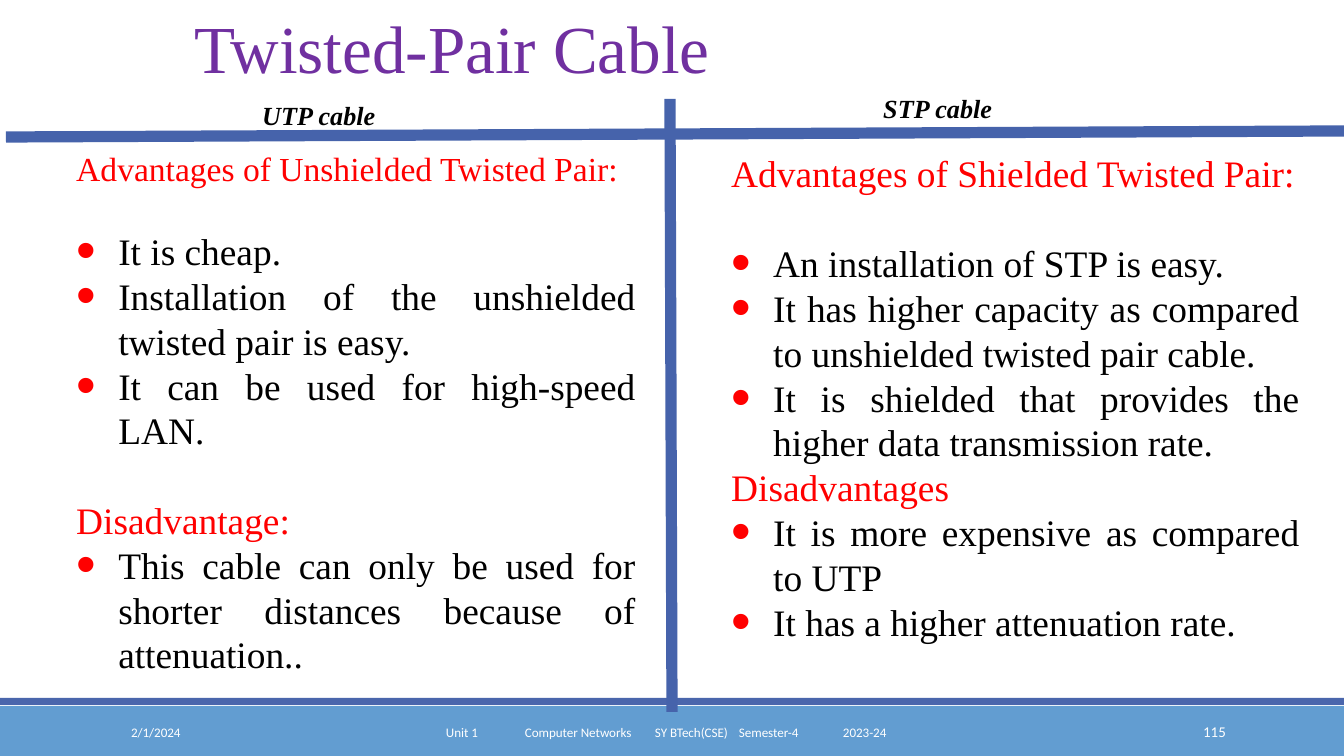
from lxml import etree
from pptx import Presentation
from pptx import util as u
from pptx.dml.color import RGBColor
from pptx.enum import shapes, text
from pptx.oxml import ns

WIDE, HIGH = 1344, 756
SCALE = 9144000 / WIDE
WHITE, BLACK, RED = "FFFFFF", "000000", "FF0000"
PURPLE, SKY, NAVY, RULE = "7030A0", "629DD1", "4A66AC", "4663AB"
SERIF, SANS = "Times New Roman", "Calibri"
LEFT, MID, RIGHT = text.PP_ALIGN.LEFT, text.MSO_ANCHOR.MIDDLE, text.PP_ALIGN.RIGHT


def px(n):
    return u.Emu(round(n * SCALE))


def tint(code):
    return RGBColor.from_string(code)


def add(parent, tag, **attrs):
    return etree.SubElement(parent, ns.qn(tag), {k: str(v) for k, v in attrs.items()})


class Deck:
    def __init__(self):
        self.prs = Presentation()
        self.prs.slide_width, self.prs.slide_height = px(WIDE), px(HIGH)
        self.slide = self.prs.slides.add_slide(self.prs.slide_layouts[6])

    def bar(self, x, y, w, h, color):
        bar = self.slide.shapes.add_shape(
            shapes.MSO_SHAPE.RECTANGLE, px(x), px(y), px(w), px(h))
        bar.shadow.inherit = False
        bar.fill.solid()
        bar.fill.fore_color.rgb = tint(color)
        bar.line.fill.background()

    def rule(self, x1, y1, x2, y2):
        rule = self.slide.shapes.add_connector(
            shapes.MSO_CONNECTOR.STRAIGHT, px(x1), px(y1), px(x2), px(y2))
        rule.line.color.rgb = tint(RULE)
        rule.line.width = u.Pt(6)
        add(rule._element.spPr, "a:effectLst")

    def box(self, x, y, w, h, wrap=True):
        frame = self.slide.shapes.add_textbox(px(x), px(y), px(w), px(h)).text_frame
        frame.word_wrap = wrap
        frame.auto_size = text.MSO_AUTO_SIZE.SHAPE_TO_FIT_TEXT
        return frame

    def run(self, para, words, size, color, face=SERIF, strong=False):
        run = para.add_run()
        run.text = words
        font = run.font
        font.name, font.size = face, u.Pt(size)
        font.color.rgb = tint(color)
        if strong:
            font.bold = font.italic = True

    def line(self, x, y, w, h, words, size, color, **style):
        """One line of text that does not wrap."""
        para = self.box(x, y, w, h, wrap=False).paragraphs[0]
        self.run(para, words, size, color, **style)

    def foot(self, x, w, words, size=7, align=LEFT, inset=10, tabs=()):
        """Footer text; tabs are px from the start of the text."""
        frame = self.box(x, 712, w, 40)
        frame.auto_size = text.MSO_AUTO_SIZE.NONE
        frame.vertical_anchor = MID
        frame.margin_left, frame.margin_right = px(inset), px(10)
        frame.margin_top = frame.margin_bottom = px(5)
        para = frame.paragraphs[0]
        para.alignment = align
        if tabs:
            stops = add(para._p.get_or_add_pPr(), "a:tabLst")
            for stop in tabs:
                add(stops, "a:tab", pos=px(stop), algn="l")
        self.run(para, words, size, WHITE, SANS)

    def bullet(self, para):
        props = para._p.get_or_add_pPr()
        props.set("marL", str(px(42)))
        props.set("indent", str(-px(42)))
        add(add(props, "a:buClr"), "a:srgbClr", val=RED)
        add(props, "a:buSzPct", val=150000)
        add(props, "a:buFont", typeface="Arial")
        add(props, "a:buChar", char="•")

    def column(self, x, y, w, h, parts):
        """Parts are (heading, size, gap before, gap after, points), gaps in pt."""
        frame = self.box(x, y, w, h)
        para = frame.paragraphs[0]
        for head, size, above, below, points in parts:
            rows = [(head, size, RED, above)]
            rows += [(p, 20, BLACK, 0 if i else below) for i, p in enumerate(points)]
            for words, pts, color, gap in rows:
                if para is None:
                    para = frame.add_paragraph()
                para.alignment = text.PP_ALIGN.JUSTIFY
                if gap:
                    para.space_before = u.Pt(gap)
                if color == BLACK:
                    self.bullet(para)
                self.run(para, words, pts, color)
                para = None


def main():
    deck = Deck()
    deck.bar(0, 706, WIDE, 50, SKY)
    deck.bar(0, 698, WIDE, 7, NAVY)
    deck.foot(121, 273, "2/1/2024")
    deck.foot(406, 532, "Unit 1\tComputer Networks\tSY BTech(CSE)\tSemester-4\t2023-24",
              inset=40, tabs=(79, 209, 293, 397))
    deck.foot(1091, 145, "115", size=8, align=RIGHT)

    title = deck.box(181, 0, 1111, 95)
    deck.run(title.paragraphs[0], "Twisted-Pair Cable", 36, PURPLE)
    deck.line(249, 93, 142, 46, "UTP cable", 14, BLACK, strong=True)
    deck.line(870, 86, 137, 46, "STP cable", 14, BLACK, strong=True)

    deck.column(63, 141, 586, 547, [
        ("Advantages of Unshielded Twisted Pair:", 18, 0, 21.6, [
            "It is cheap.",
            "Installation of the unshielded twisted pair is easy.",
            "It can be used for high-speed LAN."]),
        ("Disadvantage:", 20, 24, 0, [
            "This cable can only be used for shorter distances because of attenuation.."]),
    ])
    deck.column(718, 144, 595, 511, [
        ("Advantages of Shielded Twisted Pair:", 20, 0, 24, [
            "An installation of STP is easy.",
            "It has higher capacity as compared to unshielded twisted pair cable.",
            "It is shielded that provides the higher data transmission rate."]),
        ("Disadvantages", 20, 0, 0, [
            "It is more expensive as compared to UTP",
            "It has a higher attenuation rate."]),
    ])

    deck.rule(670, 99, 672, 712)
    deck.rule(6, 137, WIDE, 131)
    deck.prs.save("out.pptx")


if __name__ == "__main__":
    main()
